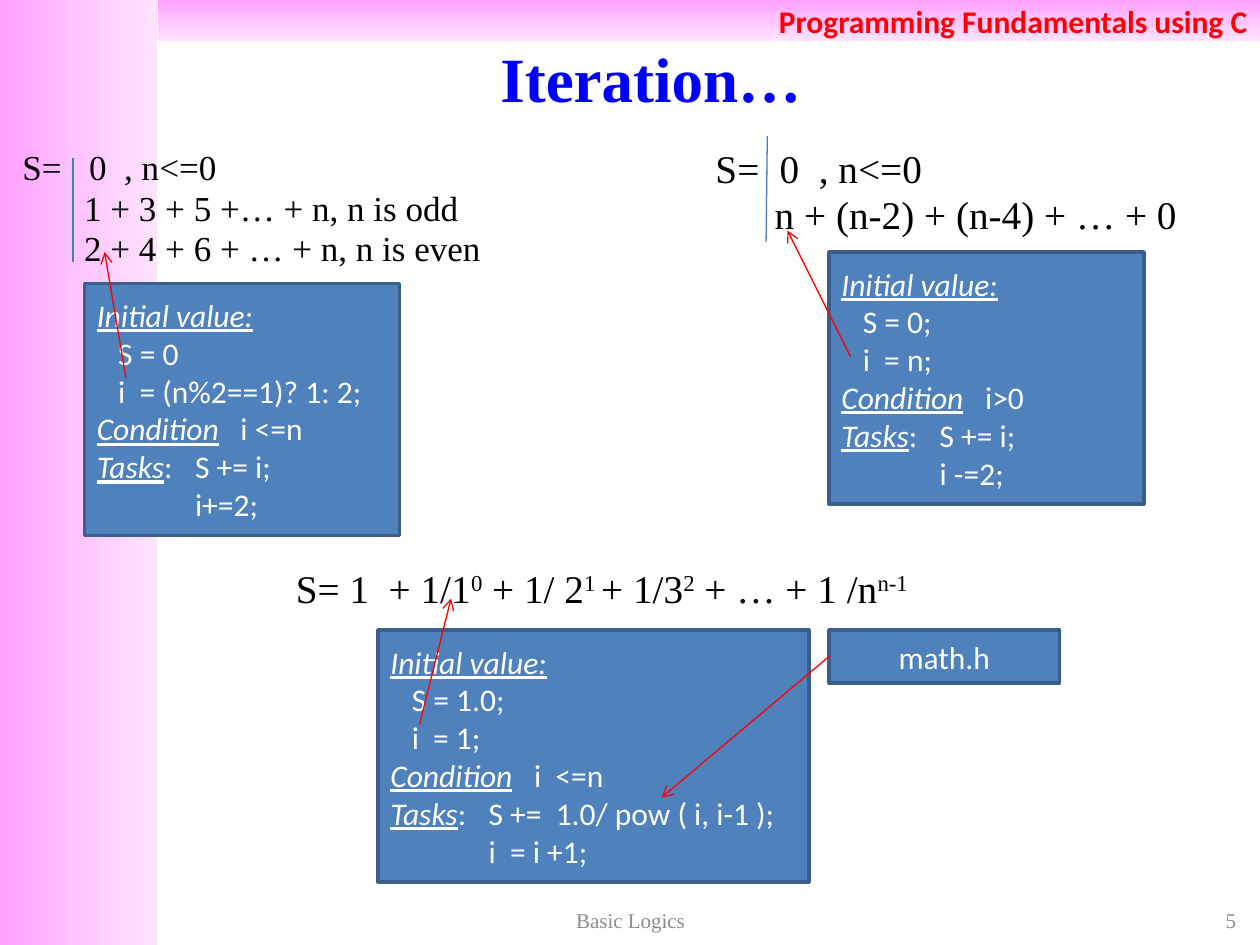
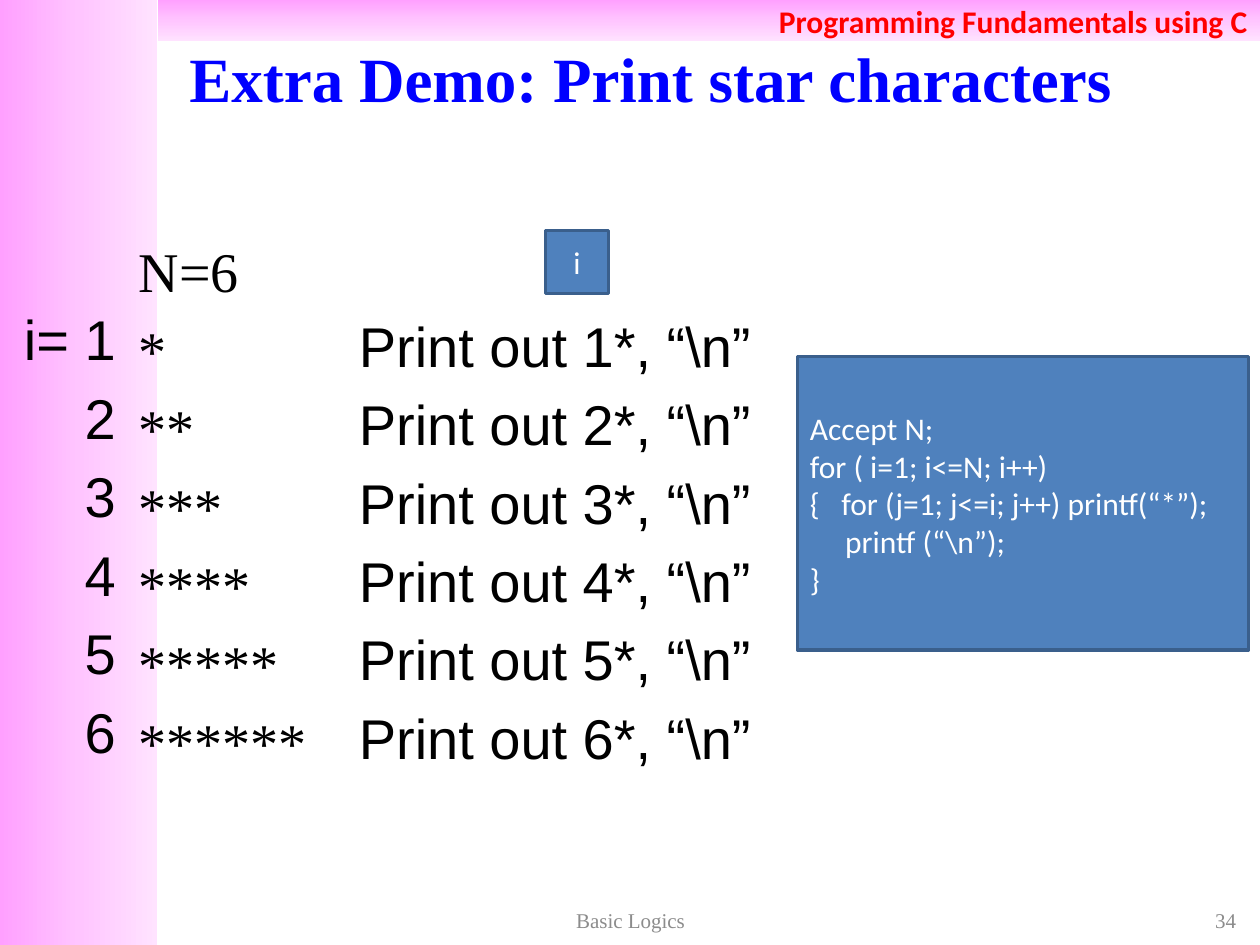
from copy import deepcopy

from pptx import Presentation
from pptx import util as u
from pptx.dml.color import RGBColor
from pptx.enum import shapes, text
from pptx.oxml.ns import qn
from lxml import etree

BAND_STOPS = [(0, "FFA0FF"), (0.5, "FFC5FF"), (1, "FFE3FF")]
BOX_FILL, BOX_LINE, DIVIDER, ARROW = "4F81BD", "3A5F8C", "4B7EBC", "FF0000"
SERIF = "Times New Roman"
TITLE = {"name": SERIF, "size": 36, "bold": True, "color": "0000FF"}
COURSE = {"name": "Calibri", "size": 18, "bold": True, "color": "FF0000"}
FOOTER = {"name": SERIF, "size": 12, "color": "8C8C8C"}
CODE = {"name": "Calibri", "size": 18, "color": "FFFFFF"}
SERIF_LIST = {"name": SERIF, "size": 32, "color": "000000"}
SANS_LIST = SERIF_LIST | {"name": "Arial"}
HEADING = {"italic": True, "underline": True}
RAISED = {"baseline": 30000}
LEFT, CENTER, RIGHT = text.PP_ALIGN.LEFT, text.PP_ALIGN.CENTER, text.PP_ALIGN.RIGHT
MIDDLE, TOP = text.MSO_ANCHOR.MIDDLE, text.MSO_ANCHOR.TOP
GAP_RATIO = 0.2
TASK_INDENT, CONDITION_INDENT = 0.78, 1.14


def color(hex_string):
    return RGBColor.from_string(hex_string)


def inches(*lengths):
    return [u.Inches(length) for length in lengths]


def format_font(font, values):
    for name, value in values.items():
        if name == "color":
            font.color.rgb = color(value)
        elif name == "baseline":
            font._rPr.set("baseline", str(value))
        else:
            setattr(font, name, u.Pt(value) if name == "size" else value)


def indent(paragraph, left=0, first=0):
    """Set the indents of a paragraph without bullet."""
    properties = paragraph._p.get_or_add_pPr()
    for name, length in (("marL", left), ("indent", first)):
        properties.set(name, str(u.Inches(length)))
    etree.SubElement(properties, qn("a:buNone"))


def hanging(left):
    """Indents that start a line at the edge and put its tab at left."""
    return {"left": left, "first": -left}


def write(frame, lines, font, align=LEFT, anchor=TOP, gap=0, spacing=1, **margins):
    """Fill a frame with lines: a string, or (runs, indent values); a run is (text, format)."""
    frame.word_wrap = True
    frame.auto_size = text.MSO_AUTO_SIZE.NONE
    frame.vertical_anchor = anchor
    for name, length in margins.items():
        setattr(frame, name, u.Inches(length))
    for number, line in enumerate(lines):
        runs, indents = (line, {}) if isinstance(line, str) else line
        paragraph = frame.add_paragraph() if number else frame.paragraphs[0]
        indent(paragraph, **indents)
        values = {"alignment": align, "line_spacing": spacing,
                  "space_before": u.Pt(gap if number else 0)}
        for name, value in values.items():
            setattr(paragraph, name, value)
        for words, changes in [(runs, {})] if isinstance(runs, str) else runs:
            run = paragraph.add_run()
            run.text = words
            format_font(run.font, font | changes)


def add_text(slide, place, lines, font, **layout):
    write(slide.shapes.add_textbox(*inches(*place)).text_frame, lines, font, **layout)


def fill_placeholder(placeholder, place, lines, font, **layout):
    placeholder.left, placeholder.top, placeholder.width, placeholder.height = inches(*place)
    write(placeholder.text_frame, lines, font, **layout)


def add_rectangle(slide, place):
    rectangle = slide.shapes.add_shape(shapes.MSO_SHAPE.RECTANGLE, *inches(*place))
    rectangle.shadow.inherit = False
    return rectangle


def add_box(slide, place, lines, align=LEFT):
    box = add_rectangle(slide, place)
    box.fill.solid()
    box.fill.fore_color.rgb = color(BOX_FILL)
    box.line.color.rgb = color(BOX_LINE)
    box.line.width = u.Pt(2)
    write(box.text_frame, lines, CODE, align=align, anchor=MIDDLE)


def add_band(slide, place, angle):
    band = add_rectangle(slide, place)
    band.line.fill.background()
    band.fill.gradient()
    band.fill.gradient_angle = angle
    stop_list = band._element.spPr.find(".//" + qn("a:gsLst"))
    stop_list.insert(1, deepcopy(stop_list[0]))
    for stop, (position, shade) in zip(band.fill.gradient_stops, BAND_STOPS):
        stop.position = position
        stop.color.rgb = color(shade)
    return band


def add_line(slide, start, end, shade=ARROW, arrow=True):
    line = slide.shapes.add_connector(
        shapes.MSO_CONNECTOR.STRAIGHT, *inches(*start, *end))
    line.line.color.rgb = color(shade)
    line.line.width = u.Pt(0.75)
    properties = line._element.spPr
    if arrow:
        etree.SubElement(properties.find(qn("a:ln")), qn("a:tailEnd"), type="arrow")
    etree.SubElement(properties, qn("a:effectLst"))


def add_bands_to_master(presentation, slide):
    """Draw the bands on a slide, then move them behind everything on the master."""
    side = add_band(slide, (0, 0, 1.25, 7.5), 0)
    header = add_band(slide, (1.25, 0, 8.75, 0.33), 270)
    write(header.text_frame, ["Programming Fundamentals using C"], COURSE,
          align=RIGHT, anchor=MIDDLE)
    for position, band in enumerate((side, header), start=2):
        presentation.slide_master.shapes._spTree.insert(position, band._element)


def add_slide(presentation, layout, title, number):
    slide = presentation.slides.add_slide(presentation.slide_layouts[layout])
    fill_placeholder(slide.shapes.title, (0.83, 0.3, 8.67, 0.62), [title], TITLE,
                     align=CENTER, anchor=MIDDLE)
    add_text(slide, (7.58, 7.17, 2.33, 0.27), [str(number)], FOOTER,
             align=RIGHT, anchor=MIDDLE)
    add_text(slide, (3.42, 7.17, 3.17, 0.27), ["Basic Logics"], FOOTER,
             align=CENTER, anchor=MIDDLE)
    return slide


def add_formula(slide, place, lines, size):
    add_text(slide, place, lines, {"name": SERIF, "size": size, "color": "000000"},
             gap=GAP_RATIO * size, spacing=0.8)


def add_cases(slide, place, cases, size, left):
    """Write a sum whose cases stand below one another."""
    first = ("S=\t0  , n<=0", hanging(left + 0.04))
    add_formula(slide, place, [first] + [(case, {"left": left}) for case in cases], size)


def add_loop_box(slide, place, start_values, condition, tasks):
    """Add a box with the initial values, the condition and the tasks of a loop."""
    add_box(slide, place, [
        ([("Initial value:", HEADING)], {}),
        *[(value, {"left": 0.17}) for value in start_values],
        ([("Condition", HEADING), ("\t" + condition, {})], hanging(CONDITION_INDENT)),
        ([("Tasks", HEADING), (":\t" + tasks[0], {})], hanging(TASK_INDENT)),
        (tasks[1], {"left": TASK_INDENT}),
    ])


def build_iteration(slide):
    add_cases(slide, (0.08, 1.17, 4.08, 1.08),
              ["1 + 3 + 5 +… + n, n is odd", "2 + 4 + 6 + … + n, n is even"], 20, 0.49)
    add_cases(slide, (5.58, 1.17, 4.08, 1.08), ["n + (n-2) + (n-4) + … + 0"], 22.4, 0.47)
    series = [("S= 1  + 1/1", {}), ("0", RAISED), (" + 1/ 2", {}), ("1 ", RAISED),
              ("+ 1/3", {}), ("2", RAISED), (" + … + 1 /n", {}), ("n-1", RAISED)]
    add_formula(slide, (2.25, 4.5, 5.5, 0.42), [(series, {})], 22.4)

    add_loop_box(slide, (0.67, 2.25, 2.5, 2), ["S = 0", "i  = (n%2==1)? 1: 2;"],
                 "i <=n", ["S += i;", "i+=2;"])
    add_loop_box(slide, (6.58, 2, 2.5, 2), ["S = 0;", "i  = n;"],
                 "i>0", ["S += i;", "i -=2;"])
    add_loop_box(slide, (3, 5, 3.42, 2), ["S = 1.0;", "i  = 1;"],
                 "i  <=n", ["S +=  1.0/ pow ( i, i-1 );", "i  = i +1;"])
    add_box(slide, (6.58, 5, 1.83, 0.42), ["math.h"], align=CENTER)

    for start, end in (((0.58, 1.25), (0.58, 2.08)), ((6.09, 1.08), (6.08, 1.92))):
        add_line(slide, start, end, DIVIDER, arrow=False)
    for start, end in (((3.33, 5.75), (3.58, 4.75)), ((6.75, 2.83), (6.25, 1.83)),
                       ((1, 3), (0.83, 2)), ((6.58, 5.21), (5.25, 6.33))):
        add_line(slide, start, end)


def build_star_demo(slide):
    rows = range(1, 7)
    gap = GAP_RATIO * SANS_LIST["size"]
    add_text(slide, (0.08, 1.75, 1.25, 4.95),
             [f"i= {row}" if row == 1 else str(row) for row in rows], SANS_LIST,
             align=RIGHT, gap=gap, margin_top=0.67, margin_left=0, margin_right=0.41)
    add_text(slide, (2.75, 1.8, 3.5, 4.95),
             [f"Print out {row}*, “\\n”" for row in rows], SANS_LIST,
             gap=gap, margin_top=0.67)
    fill_placeholder(slide.placeholders[1], (1, 1.83, 1.75, 4.95),
                     ["N=6"] + ["*" * row for row in rows], SERIF_LIST, gap=gap)
    add_box(slide, (4.33, 1.83, 0.5, 0.5), ["i"], align=CENTER)
    add_box(slide, (6.33, 2.83, 3.58, 2.33), [
        "Accept N;",
        "for ( i=1; i<=N; i++)",
        ("{\tfor (j=1; j<=i; j++) printf(“*”);", hanging(0.25)),
        ("printf (“\\n”);", {"left": 0.28}),
        "}",
    ])


def main():
    presentation = Presentation()
    presentation.slide_width, presentation.slide_height = inches(10, 7.5)
    iteration = add_slide(presentation, 5, "Iteration…", 5)
    add_bands_to_master(presentation, iteration)
    build_iteration(iteration)
    build_star_demo(add_slide(presentation, 1, "Extra Demo: Print star characters", 34))
    presentation.save("out.pptx")


if __name__ == "__main__":
    main()
